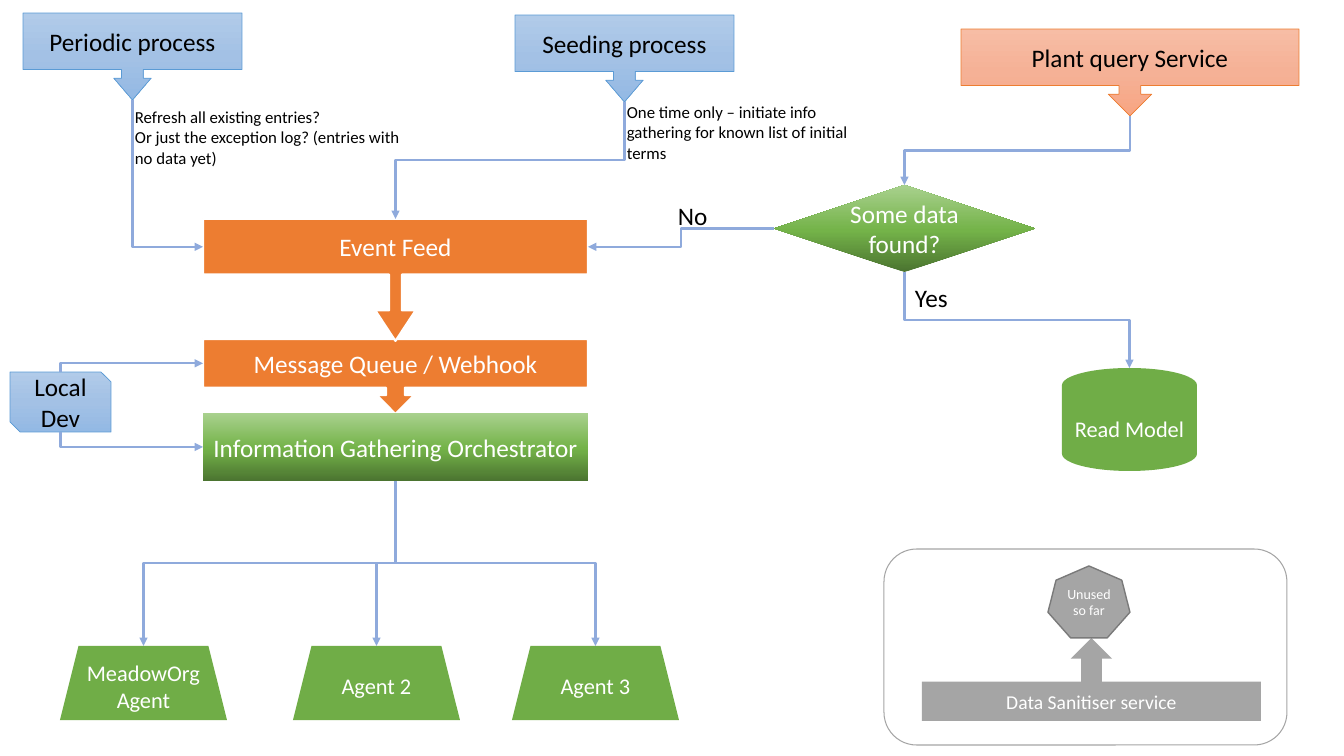
import copy
from pptx import Presentation
from pptx import util as u
from pptx.dml.color import RGBColor
from pptx.enum import shapes, text
from pptx.oxml import parse_xml
from pptx.oxml.ns import qn, nsdecls

PX = 914400 / 100.8
KIND = shapes.MSO_SHAPE
FONT = "Calibri"
BLACK, WHITE = "000000", "FFFFFF"
ORANGE, GREEN, GREY, ARROW = "ED7D31", "70AD47", "A5A5A5", "8FAADC"

# Gradients: clockwise angle, then (position, colour) stops
GREEN_FADE = (270, [(0, "4B7430"), (0.48, "74B349"), (1, "A9D18E")])
BLUE_FADE = (90, [(0, "B1CBE9"), (0.5, "A3C1E5"), (1, "93B9E4")])
PEACH_FADE = (90, [(0, "F7BDA5"), (0.5, "F5B196"), (1, "F8A582")])

# Styles: fill, line colour, line width, text colour
STYLES = {
    "trigger": (BLUE_FADE, "5B9BD5", 0.5, BLACK),
    "query": (PEACH_FADE, ORANGE, 0.5, BLACK),
    "queue": (ORANGE, WHITE, 1.5, WHITE),
    "logic": (GREEN_FADE, None, 0, WHITE),
    "worker": (GREEN, None, 0, WHITE),
    "service": (GREY, None, 0, WHITE),
    "unused": (GREY, "7A7A7A", 1, WHITE),
    "frame": (None, GREY, 0.75, BLACK),
}

TRIGGER_ARROW = (0.25, 0.214, 0.25, 0.65)
# name: (preset, style, (left, top, width, height), text, size, adjustments)
NODES = {
    "message": (KIND.DOWN_ARROW_CALLOUT, "queue", (203, 339, 385, 75),
                "Message Queue / Webhook", 18, ()),
    "event": (KIND.DOWN_ARROW_CALLOUT, "queue", (203, 219, 385, 122),
              "Event Feed", 18, (0.105, 0.165, 0.25, 0.456)),
    "orchestrator": (KIND.RECTANGLE, "logic", (203, 413, 385, 68),
                     "Information Gathering Orchestrator", 18, ()),
    "periodic": (KIND.DOWN_ARROW_CALLOUT, "trigger", (23, 13, 219, 87),
                 "Periodic process", 18, TRIGGER_ARROW),
    "seeding": (KIND.DOWN_ARROW_CALLOUT, "trigger", (515, 15, 219, 87),
                "Seeding process", 18, TRIGGER_ARROW),
    "local": (KIND.SNIP_2_DIAG_RECTANGLE, "trigger", (10, 372, 101, 60),
              "Local Dev", 18, ()),
    "query": (KIND.DOWN_ARROW_CALLOUT, "query", (961, 29, 338, 87),
              "Plant query Service", 18, ()),
    "found": (KIND.FLOWCHART_DECISION, "logic", (774, 185, 261, 87),
              "Some data found?", 18, ()),
    "model": (KIND.FLOWCHART_MAGNETIC_DISK, "worker", (1062, 368, 135, 103),
              "Read Model", 16, ()),
    "frame": (KIND.ROUNDED_RECTANGLE, "frame", (884, 549, 403, 196), "", 18, ()),
    "sanitiser": (KIND.UP_ARROW_CALLOUT, "service", (922, 638, 339, 83),
                  "Data Sanitiser service", 14, (0.25, 0.25, 0.25, 0.474)),
    "unused": (KIND.HEPTAGON, "unused", (1048, 566, 82, 72),
               "Unused so far", 10, ()),
}
AGENTS = [("agent1", 60, "MeadowOrg Agent"), ("agent2", 293, "Agent 2"),
          ("agent3", 512, "Agent 3")]
for name, left, label in AGENTS:
    NODES[name] = (KIND.TRAPEZOID, "worker", (left, 646, 167, 74), label, 16, ())

NOTES = [
    ((668, 195, 61, 40), "No", 18),
    ((905, 277, 61, 40), "Yes", 18),
    ((125, 102, 286, 72), "Refresh all existing entries?\n"
     "Or just the exception log? (entries with no data yet)", 12),
    ((617, 97, 242, 72), "One time only – initiate info gathering "
     "for known list of initial terms", 12),
]

# (from, side, to, side)
LINKS = [
    ("orchestrator", "bottom", "agent1", "top"),
    ("orchestrator", "bottom", "agent2", "top"),
    ("orchestrator", "bottom", "agent3", "top"),
    ("found", "left", "event", "right"),
    ("query", "bottom", "found", "top"),
    ("found", "bottom", "model", "top"),
    ("periodic", "bottom", "event", "left"),
    ("seeding", "bottom", "event", "top"),
    ("local", "top", "message", "left"),
    ("local", "bottom", "orchestrator", "left"),
]


def emu(*pixels):
    """Turn pixel lengths into EMU."""
    return [u.Emu(round(v * PX)) for v in pixels]


def rgb(colour):
    """Turn a hex string into a colour."""
    return RGBColor.from_string(colour)


def paint(fill, value):
    """Apply no fill, a plain colour or a gradient."""
    if value is None:
        fill.background()
    elif isinstance(value, str):
        fill.solid()
        fill.fore_color.rgb = rgb(value)
    else:
        angle, stops = value
        fill.gradient()
        fill.gradient_angle = 360 - angle
        first = fill.gradient_stops[0]._gs
        first.addnext(copy.deepcopy(first))
        for stop, (position, colour) in zip(fill.gradient_stops, stops):
            stop.position = position
            stop.color.rgb = rgb(colour)


def write(sp, content, size, colour, align=None):
    """Set and format the text of a shape."""
    tf = sp.text_frame
    tf.word_wrap = True
    tf.text = content
    for p in tf.paragraphs:
        p.alignment = align
        for r in p.runs:
            r.font.name, r.font.size = FONT, u.Pt(size)
            r.font.color.rgb = rgb(colour)


def add_node(s, kind, style, box, label, size, adjustments):
    """Add one styled and labelled preset shape."""
    fill, line, width, colour = STYLES[style]
    sp = s.shapes.add_shape(kind, *emu(*box))
    sp.shadow.inherit = False
    for i, value in enumerate(adjustments):
        sp.adjustments[i] = value
    paint(sp.fill, fill)
    paint(sp.line.fill, line)
    if line:
        sp.line.width = u.Pt(width)
    if label:
        sp.text_frame.vertical_anchor = text.MSO_ANCHOR.MIDDLE
        write(sp, label, size, colour, text.PP_ALIGN.CENTER)
    return sp


def anchor(sp, side):
    """Give the middle of a side; a callout's sides belong to its body."""
    body = sp.height
    if sp.auto_shape_type == KIND.DOWN_ARROW_CALLOUT:
        body *= sp.adjustments[3]
    x = {"left": sp.left, "right": sp.left + sp.width}
    y = {"top": sp.top, "bottom": sp.top + sp.height}
    return x.get(side, sp.left + sp.width / 2), y.get(side, sp.top + body / 2)


def add_link(s, start, side, end, end_side):
    """Add an elbow arrow that leaves and enters at the given sides."""
    (x1, y1), (x2, y2) = anchor(start, side), anchor(end, end_side)
    upright = side in ("top", "bottom")
    rotation = 0
    ends = x1, y1, x2, y2
    if upright:  # a quarter turn makes the first leg vertical
        cx, cy = (x1 + x2) / 2, (y1 + y2) / 2
        right, up = x2 > x1, y2 < y1
        w = abs(y2 - y1) / 2 * (-1 if right else 1)
        h = abs(x2 - x1) / 2 * (-1 if up else 1)
        ends = cx - w, cy - h, cx + w, cy + h
        rotation = 270 if right and not up else 90
    c = s.shapes.add_connector(shapes.MSO_CONNECTOR.ELBOW,
                               *[u.Emu(round(v)) for v in ends])
    c.rotation = rotation
    c.line.width = u.Pt(1.5)
    paint(c.line.fill, ARROW)
    spPr = c._element.spPr
    if upright and end_side in ("left", "right"):
        spPr.find(qn("a:prstGeom")).set("prst", "bentConnector2")
    spPr.find(qn("a:ln")).append(
        parse_xml(f'<a:tailEnd {nsdecls("a")} type="triangle"/>'))
    spPr.append(parse_xml(f'<a:effectLst {nsdecls("a")}/>'))


prs = Presentation()
prs.slide_width, prs.slide_height = emu(1344, 756)
s = prs.slides.add_slide(prs.slide_layouts[6])
nodes = {name: add_node(s, *spec_row) for name, spec_row in NODES.items()}
for start, side, end, end_side in LINKS:
    add_link(s, nodes[start], side, nodes[end], end_side)
for box, content, size in NOTES:
    sp = s.shapes.add_textbox(*emu(*box))
    write(sp, content, size, BLACK)
    sp.text_frame.auto_size = text.MSO_AUTO_SIZE.SHAPE_TO_FIT_TEXT
prs.save("out.pptx")
